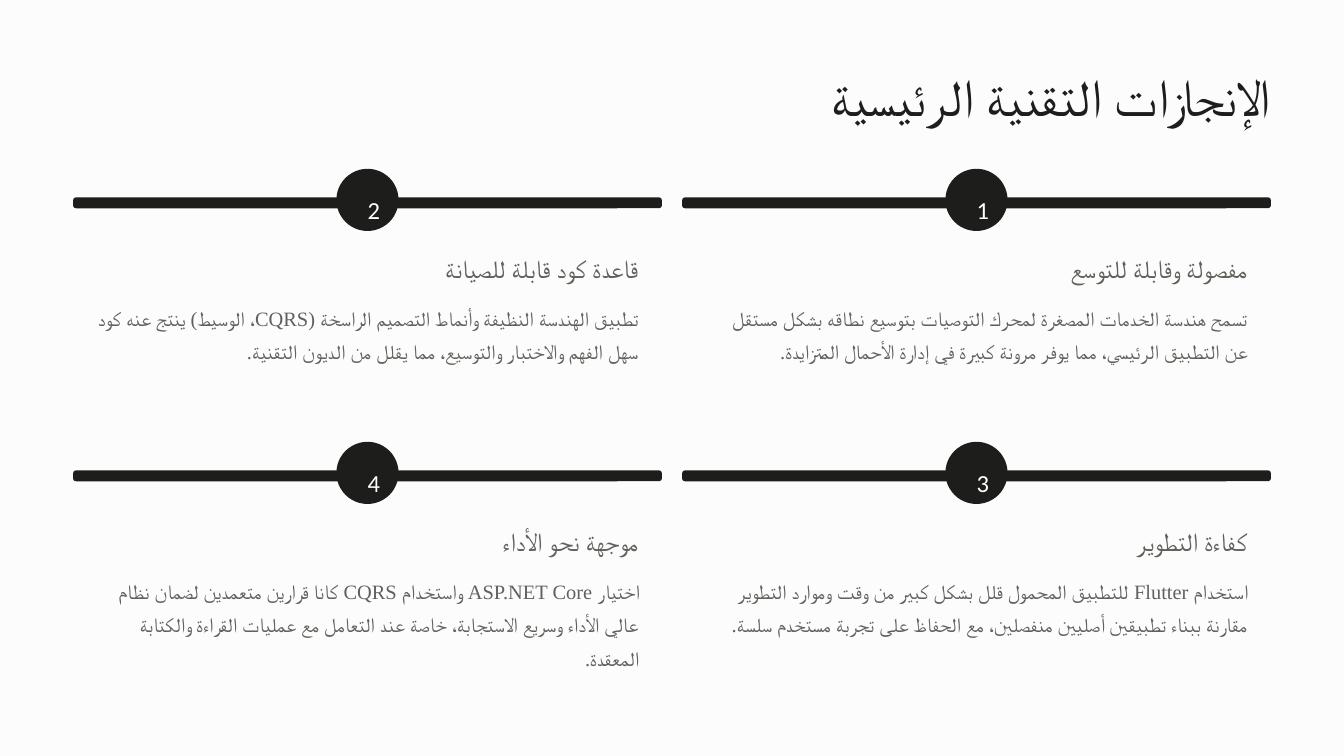
from lxml.etree import SubElement
from pptx import Presentation
from pptx.dml.color import RGBColor as Rgb
from pptx.enum.shapes import MSO_SHAPE as Shape
from pptx.enum.text import PP_ALIGN as Align
from pptx.oxml.ns import qn
from pptx.util import Inches, Pt

COLORS = {"paper": "FCFCFC", "ink": "1D1D1B", "gray": "61615C", "white": "FFFFFF"}

# Font values, line spacing in points and colour of each kind of text
STYLES = {
    "title": ({"name": "Times New Roman", "size": Pt(44.5)}, 55.5, "ink"),
    "number": ({"name": "Calibri", "size": Pt(21)}, 34, "white"),
    "heading": ({"name": "Times New Roman", "size": Pt(22)}, 27.5, "gray"),
    "body": ({"name": "Times New Roman", "size": Pt(17.5)}, 28.5, "gray"),
}

CARDS = [
    ("مفصولة وقابلة للتوسع",
     "تسمح هندسة الخدمات المصغرة لمحرك التوصيات بتوسيع نطاقه بشكل مستقل "
     "عن التطبيق الرئيسي، مما يوفر مرونة كبيرة في إدارة الأحمال المتزايدة."),
    ("قاعدة كود قابلة للصيانة",
     "تطبيق الهندسة النظيفة وأنماط التصميم الراسخة (CQRS، الوسيط) ينتج عنه "
     "كود سهل الفهم والاختبار والتوسيع، مما يقلل من الديون التقنية."),
    ("كفاءة التطوير",
     "استخدام Flutter للتطبيق المحمول قلل بشكل كبير من وقت وموارد التطوير "
     "مقارنة ببناء تطبيقين أصليين منفصلين، مع الحفاظ على تجربة مستخدم سلسة."),
    ("موجهة نحو الأداء",
     "اختيار ASP.NET Core واستخدام CQRS كانا قرارين متعمدين لضمان نظام "
     "عالي الأداء وسريع الاستجابة، خاصة عند التعامل مع عمليات القراءة والكتابة "
     "المعقدة."),
]

COLS = (8.12, 0.87)
TOP, PITCH = 2.35, 3.25
WIDTH, HEIGHT = 7.01, 2.63
BAR, DISC = 0.13, 0.74


def color(name):
    return Rgb.from_string(COLORS[name])


def add_text(slide, box, text, style, wrap=False):
    """Place one right-to-left paragraph in the box."""
    font, space, tint = STYLES[style]
    frame = slide.shapes.add_textbox(*map(Inches, box)).text_frame
    layout = {"word_wrap": wrap, "margin_left": 0, "margin_right": 0,
              "margin_top": 0, "margin_bottom": 0}
    for key, value in layout.items():
        setattr(frame, key, value)
    para = frame.paragraphs[0]
    para.alignment = Align.RIGHT
    para.line_spacing = Pt(space)
    para._p.get_or_add_pPr().set("rtl", "1")
    run = para.add_run()
    run.text = text
    for key, value in font.items():
        setattr(run.font, key, value)
    run.font.color.rgb = color(tint)
    script = SubElement(run._r.get_or_add_rPr(), qn("a:cs"))
    script.set("typeface", font["name"])


def add_panel(slide, box, tint, bend):
    """Draw a plain rounded rectangle without outline."""
    panel = slide.shapes.add_shape(Shape.ROUNDED_RECTANGLE, *map(Inches, box))
    panel.adjustments[0] = bend
    panel.shadow.inherit = False
    panel.fill.solid()
    panel.fill.fore_color.rgb = color(tint)
    panel.line.fill.background()


def add_card(slide, left, top, number, heading, body):
    x = left + (WIDTH - DISC) / 2
    y = top - 0.34
    add_panel(slide, (left, top + 0.03, WIDTH, HEIGHT), "paper", 0.06)
    add_panel(slide, (left, top, WIDTH, BAR), "ink", 0.28)
    add_panel(slide, (x, y, DISC, DISC), "ink", 0.5)
    add_text(slide, (x + 0.22, y + 0.19, 0.3, 0.37), str(number), "number")
    add_text(slide, (left + 3.63, top + 0.65, 3.1, 0.39), heading, "heading")
    add_text(slide, (left + 0.29, top + 1.19, 6.45, 1.19), body, "body", True)


def main():
    deck = Presentation()
    deck.slide_width, deck.slide_height = Inches(16), Inches(9)
    slide = deck.slides.add_slide(deck.slide_layouts[6])
    slide.background.fill.solid()
    slide.background.fill.fore_color.rgb = color("paper")
    add_text(slide, (8.93, 0.74, 6.2, 0.78), "الإنجازات التقنية الرئيسية", "title")
    for i, (heading, body) in enumerate(CARDS):
        row, col = divmod(i, len(COLS))
        add_card(slide, COLS[col], TOP + row * PITCH, i + 1, heading, body)
    deck.save("out.pptx")


if __name__ == "__main__":
    main()
